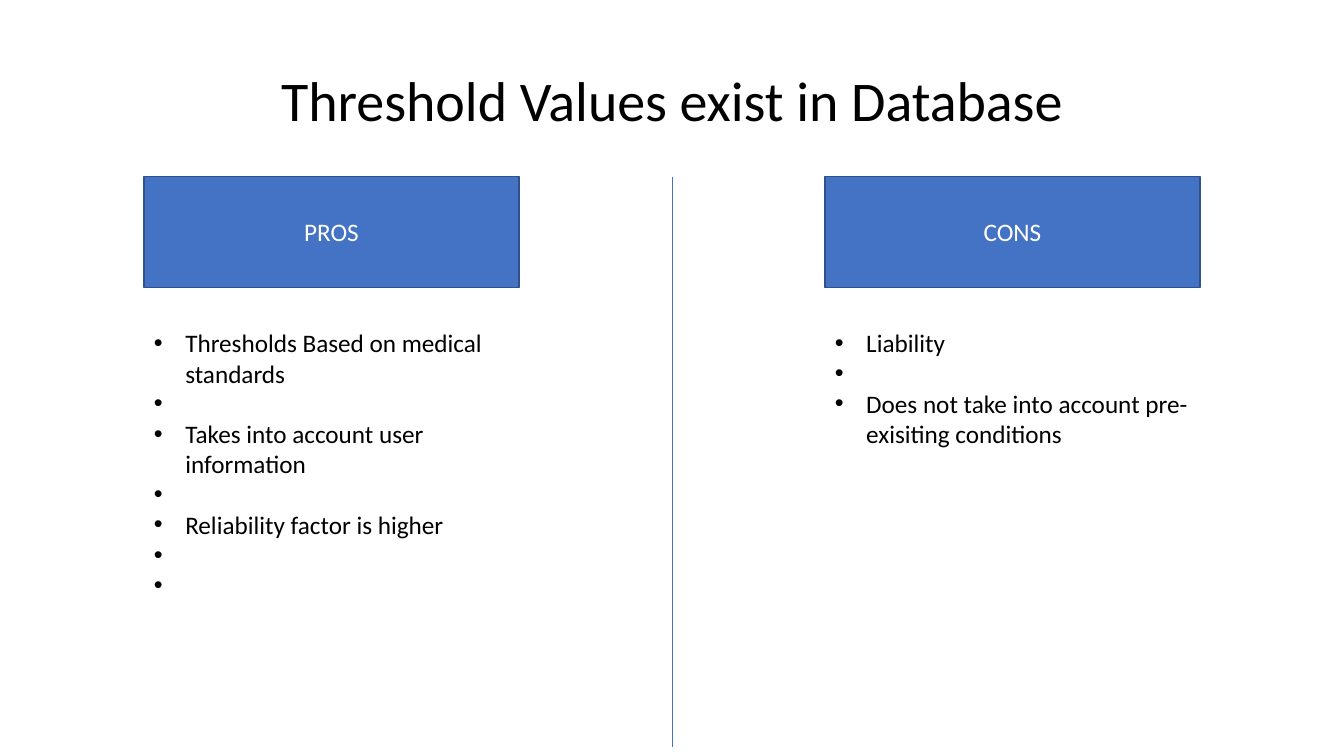
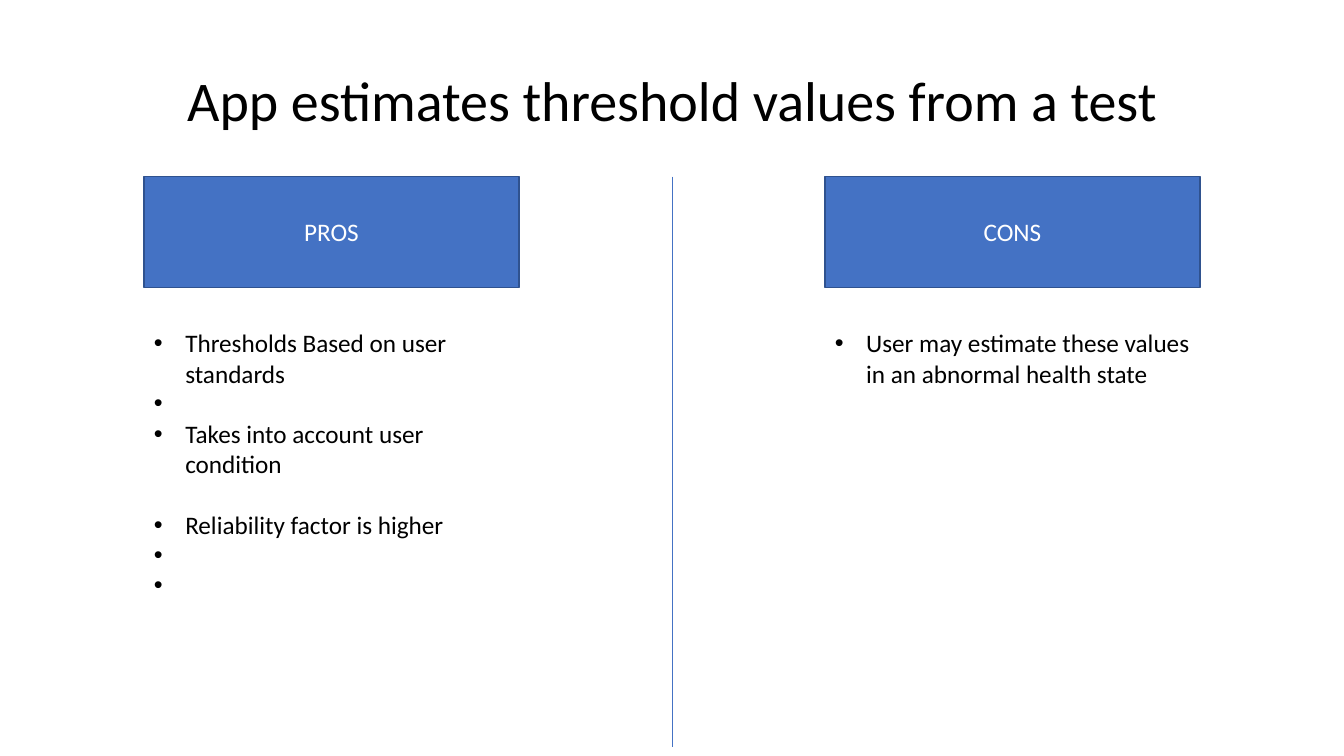
from lxml.etree import SubElement
from pptx import Presentation
from pptx.dml.color import RGBColor
from pptx.enum.shapes import MSO_CONNECTOR as Connector, MSO_SHAPE as Shape
from pptx.enum.text import MSO_ANCHOR as Anchor, MSO_AUTO_SIZE as AutoSize, PP_ALIGN as Align
from pptx.oxml.ns import qn
from pptx.util import Cm, Pt

SLIDE_WIDTH, SLIDE_HEIGHT = 33.87, 19.05
COLUMN_WIDTH = 9.45
LEFT_COLUMN = 3.63
RIGHT_COLUMN = SLIDE_WIDTH - LEFT_COLUMN - COLUMN_WIDTH
HEADER_TOP, HEADER_HEIGHT = 4.45, 2.79
LIST_TOP = 8.13
LONE_BULLET = " "  # a bullet that shows without wording
GAP = None  # one free line above the next item


def color(hex_string):
    return RGBColor.from_string(hex_string)


def write(paragraph, text, size=18, ink="000000", align=Align.LEFT, spacing=1.0, before=0):
    paragraph.text = text
    paragraph.alignment = align
    paragraph.line_spacing = spacing
    paragraph.space_before = Pt(before)
    font = paragraph.runs[0].font
    font.name = Deck.FONT
    font.size = Pt(size)
    font.color.rgb = color(ink)


class Deck:
    FONT = "Calibri"
    BLUE, DARK_BLUE = "4472C4", "2F528F"
    BLACK, WHITE = "000000", "FFFFFF"
    LINE_HEIGHT = 22
    BULLET_INDENT = 0.79

    def __init__(self):
        self.presentation = Presentation()
        self.presentation.slide_width = Cm(SLIDE_WIDTH)
        self.presentation.slide_height = Cm(SLIDE_HEIGHT)
        self.slide = None

    def add_slide(self, title):
        layout = self.presentation.slide_layouts.get_by_name("Title Only")
        self.slide = self.presentation.slides.add_slide(layout)
        shape = self.slide.shapes.title
        shape.left, shape.top, shape.width, shape.height = map(Cm, (2.33, 0.76, 29.21, 3.68))
        frame = shape.text_frame
        frame.auto_size = AutoSize.NONE
        frame.vertical_anchor = Anchor.MIDDLE
        write(frame.paragraphs[0], title, size=40, align=Align.CENTER, spacing=0.9)

    def header(self, text, left):
        shape = self.slide.shapes.add_shape(
            Shape.RECTANGLE, Cm(left), Cm(HEADER_TOP), Cm(COLUMN_WIDTH), Cm(HEADER_HEIGHT))
        shape.shadow.inherit = False
        shape.fill.solid()
        shape.fill.fore_color.rgb = color(self.BLUE)
        shape.line.color.rgb = color(self.DARK_BLUE)
        shape.line.width = Pt(1)
        shape.text_frame.vertical_anchor = Anchor.MIDDLE
        write(shape.text_frame.paragraphs[0], text, ink=self.WHITE, align=Align.CENTER)

    def divider(self):
        middle = Cm(SLIDE_WIDTH / 2)
        line = self.slide.shapes.add_connector(
            Connector.STRAIGHT, middle, Cm(HEADER_TOP), middle, Cm(18.82))
        line.line.color.rgb = color(self.BLUE)
        line.line.width = Pt(0.5)
        SubElement(line._element.spPr, qn("a:effectLst"))

    def bullet(self, paragraph):
        properties = paragraph._p.get_or_add_pPr()
        indent = Cm(self.BULLET_INDENT)
        properties.set("marL", str(indent))
        properties.set("indent", str(-indent))
        bullet_color = SubElement(properties, qn("a:buClr"))
        SubElement(bullet_color, qn("a:srgbClr"), val=self.BLACK)
        SubElement(properties, qn("a:buFont"), typeface="Arial")
        SubElement(properties, qn("a:buChar"), char="•")

    def bullet_list(self, items, left, height):
        box = self.slide.shapes.add_textbox(
            Cm(left), Cm(LIST_TOP), Cm(COLUMN_WIDTH), Cm(height))
        frame = box.text_frame
        frame.word_wrap = True
        frame.auto_size = AutoSize.SHAPE_TO_FIT_TEXT
        paragraph, before = frame.paragraphs[0], 0
        for item in items:
            if item is GAP:
                before = self.LINE_HEIGHT
                continue
            paragraph = paragraph or frame.add_paragraph()
            self.bullet(paragraph)
            write(paragraph, item, before=before)
            paragraph, before = None, 0

    def comparison(self, title, pros, cons, cons_height):
        self.add_slide(title)
        self.header("PROS", LEFT_COLUMN)
        self.header("CONS", RIGHT_COLUMN)
        self.divider()
        self.bullet_list(cons, RIGHT_COLUMN, cons_height)
        self.bullet_list(pros, LEFT_COLUMN, 7.19)


def main():
    deck = Deck()

    # Thresholds from the database
    deck.comparison(
        "Threshold Values exist in Database",
        pros=["Thresholds Based on medical standards", LONE_BULLET,
              "Takes into account user information", LONE_BULLET,
              "Reliability factor is higher", LONE_BULLET, LONE_BULLET],
        cons=["Liability", LONE_BULLET,
              "Does not take into account pre-exisiting conditions"],
        cons_height=3.33)

    # Thresholds from a test
    deck.comparison(
        "App estimates threshold values from a test",
        pros=["Thresholds Based on user standards", LONE_BULLET,
              "Takes into account user condition", GAP,
              "Reliability factor is higher", LONE_BULLET, LONE_BULLET],
        cons=["User may estimate these values in an abnormal health state"],
        cons_height=2.57)

    deck.presentation.save("out.pptx")


if __name__ == "__main__":
    main()
